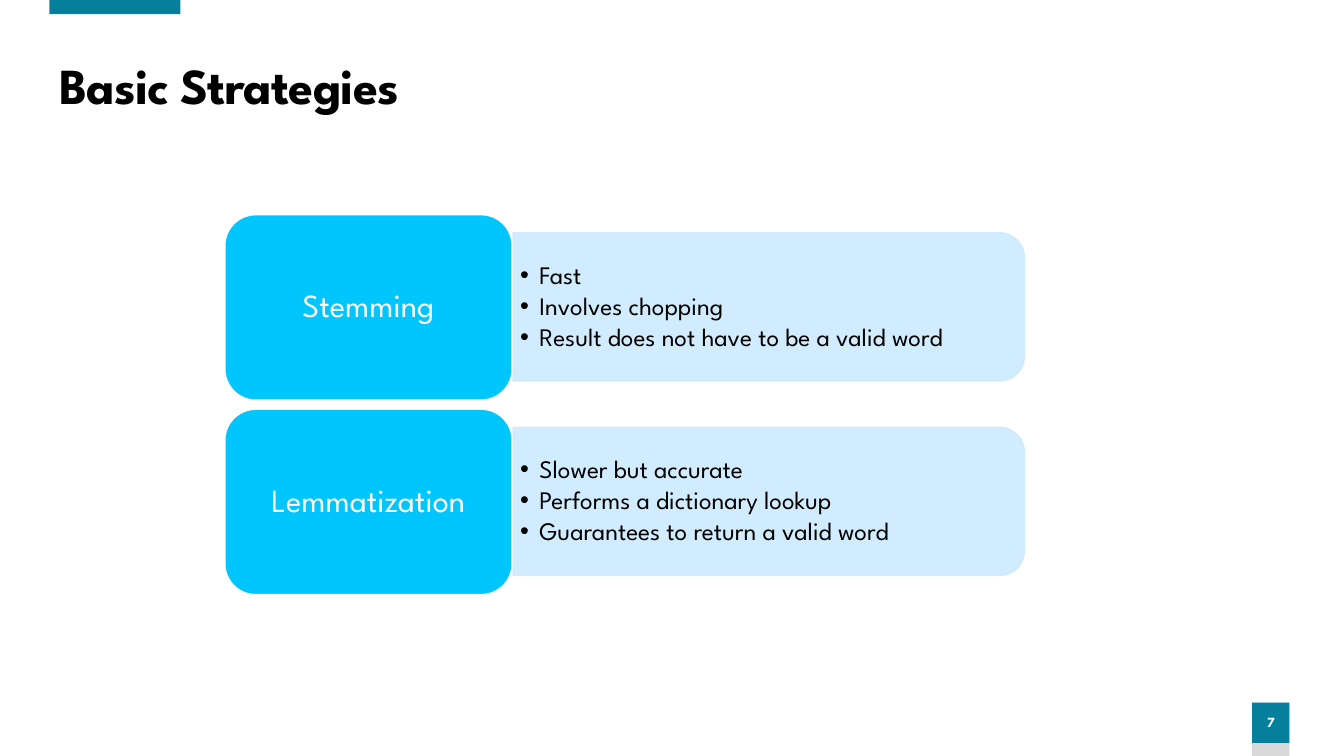
from lxml import etree
from pptx import Presentation, util as u
from pptx.dml.color import RGBColor
from pptx.enum import shapes, text
from pptx.oxml.ns import qn

PX = 9144
FONT = "League Spartan"
TEAL, GREY, SKY, PALE, WHITE, BLACK = "067F9C", "D9D9D9", "01C6FD", "CCEAFE", "FFFFFF", "000000"
STRATEGIES = [
    ("Stemming", ["Fast", "Involves chopping", "Result does not have to be a valid word"]),
    ("Lemmatization", ["Slower but accurate", "Performs a dictionary lookup",
                       "Guarantees to return a valid word"]),
]


def px(*lengths):
    """Turn px lengths into EMU."""
    return [u.Emu(length * PX) for length in lengths]


def paint(color_format, color):
    """Make a fill solid in the hex colour."""
    color_format.solid()
    color_format.fore_color.rgb = RGBColor.from_string(color)


def set_all(target, values):
    """Set attributes from a dict of format values."""
    for name, value in values.items():
        setattr(target, name, value)


def add_box(slide, kind, box, color, outline=None):
    """Add a flat preset shape, with a one-point outline if given."""
    shape = slide.shapes.add_shape(kind, *px(*box))
    shape.shadow.inherit = False
    paint(shape.fill, color)
    if outline:
        paint(shape.line.fill, outline)
        shape.line.width = u.Pt(1)
    else:
        shape.line.fill.background()
    return shape


def write(shape, lines, size, color, margins, bold=False, **paragraph_format):
    """Write the lines into the shape, centred vertically."""
    frame = shape.text_frame
    left, top = px(*margins)
    set_all(frame, dict(text="\n".join(lines), word_wrap=True,
                        vertical_anchor=text.MSO_ANCHOR.MIDDLE,
                        margin_left=left, margin_right=left,
                        margin_top=top, margin_bottom=top))
    for paragraph in frame.paragraphs:
        set_all(paragraph, dict(line_spacing=0.9, **paragraph_format))
        for run in paragraph.runs:
            set_all(run.font, dict(name=FONT, size=u.Pt(size), bold=bold))
            paint(run.font.fill, color)
    return frame.paragraphs


def add_bullet(paragraph, indent):
    """Give the paragraph a round bullet with a hanging indent."""
    properties = paragraph._p.get_or_add_pPr()
    properties.set("marL", str(indent * PX))
    properties.set("indent", str(-indent * PX))
    etree.SubElement(properties, qn("a:buFont")).set("typeface", "Arial")
    etree.SubElement(properties, qn("a:buChar")).set("char", "•")


def add_title(slide, box, title):
    """Place and format the title placeholder."""
    shape = slide.shapes.title
    set_all(shape, dict(zip(("left", "top", "width", "height"), px(*box))))
    paragraph, = write(shape, [title], 36, BLACK, (10, 5), bold=True,
                       alignment=text.PP_ALIGN.LEFT)
    paragraph.runs[0]._r.get_or_add_rPr().set("spc", "-60")


def add_page_number(slide, box, number):
    """Draw the page number tile with its grey foot."""
    left, top, width, height = box
    add_box(slide, shapes.MSO_SHAPE.RECTANGLE, box, GREY)
    tile = add_box(slide, shapes.MSO_SHAPE.RECTANGLE, (left, top, width, height - 13), TEAL)
    write(tile, [number], 10, WHITE, (0, 5), bold=True,
          alignment=text.PP_ALIGN.CENTER, space_before=u.Pt(10))


def add_strategy(slide, box, name, points):
    """Draw a strategy label and the panel of points to its right."""
    left, top, width, height = box
    label_width, inset = 285, 18
    panel_left, panel_top = left + label_width + 1, top + inset
    panel_width, panel_height = width - label_width - 1, height - 2 * inset - 1
    shift = (panel_width - panel_height) // 2
    panel = add_box(slide, shapes.MSO_SHAPE.ROUND_2_SAME_RECTANGLE,
                    (panel_left + shift, panel_top - shift, panel_height, panel_width),
                    PALE, PALE)
    panel.rotation = 90
    for color in panel._element.spPr.iter(qn("a:srgbClr")):
        etree.SubElement(color, qn("a:alpha")).set("val", "90000")
    bullets = slide.shapes.add_textbox(
        *px(panel_left, panel_top + 7, panel_width - 7, panel_height - 14))
    for paragraph in write(bullets, points, 18, BLACK, (7, 4), level=1,
                           alignment=text.PP_ALIGN.LEFT, space_after=u.Pt(2.7)):
        add_bullet(paragraph, 19)
    label = add_box(slide, shapes.MSO_SHAPE.ROUNDED_RECTANGLE,
                    (left, top, label_width, height), SKY, WHITE)
    write(label, [name], 23, WHITE, (10, 5), alignment=text.PP_ALIGN.CENTER)


def add_strategies(slide, box, gap):
    """Stack the strategies in equal rows."""
    left, top, width, height = box
    row = (height - gap * (len(STRATEGIES) - 1)) // len(STRATEGIES)
    for index, (name, points) in enumerate(STRATEGIES):
        add_strategy(slide, (left, top + index * (row + gap), width, row), name, points)


def main():
    """Build and save the slide."""
    presentation = Presentation()
    presentation.slide_width, presentation.slide_height = px(1333, 750)
    slide = presentation.slides.add_slide(presentation.slide_layouts[5])
    paint(slide.background.fill, WHITE)
    add_page_number(slide, (1242, 697, 37, 53), "7")
    add_box(slide, shapes.MSO_SHAPE.RECTANGLE, (49, 0, 130, 14), TEAL)
    add_title(slide, (49, 55, 1222, 65), "Basic Strategies")
    add_strategies(slide, (223, 213, 793, 377), 9)
    presentation.save("out.pptx")


if __name__ == "__main__":
    main()
